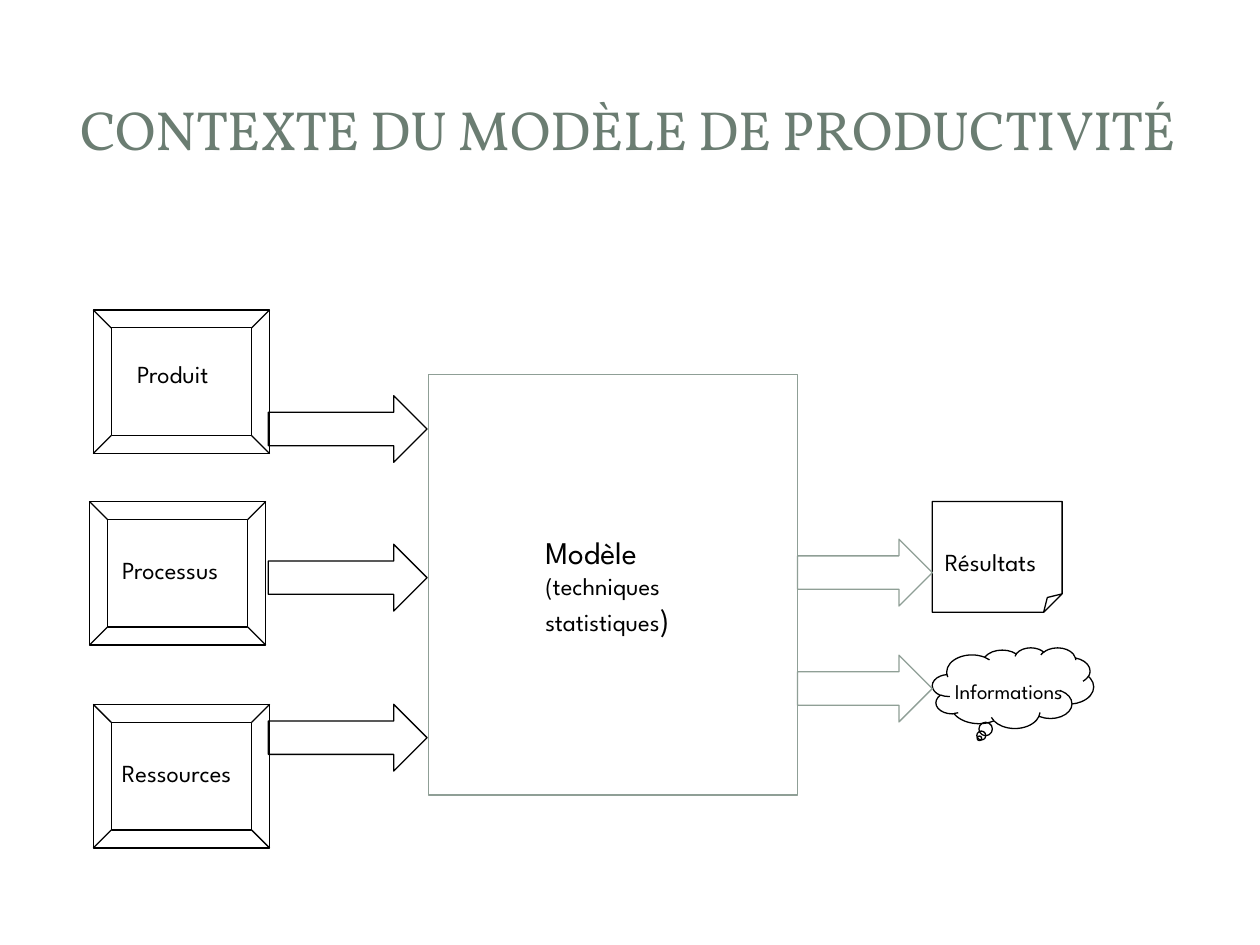
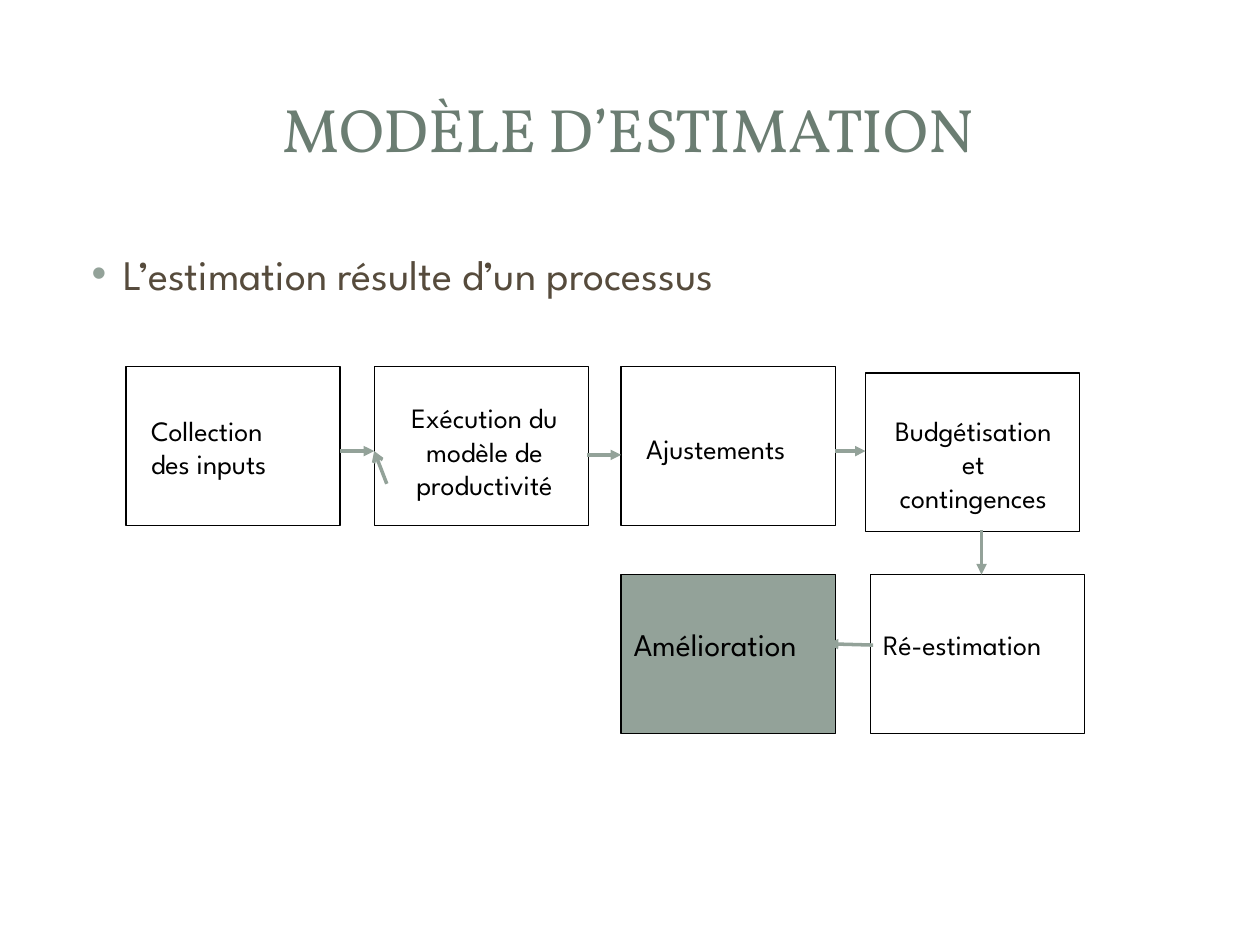
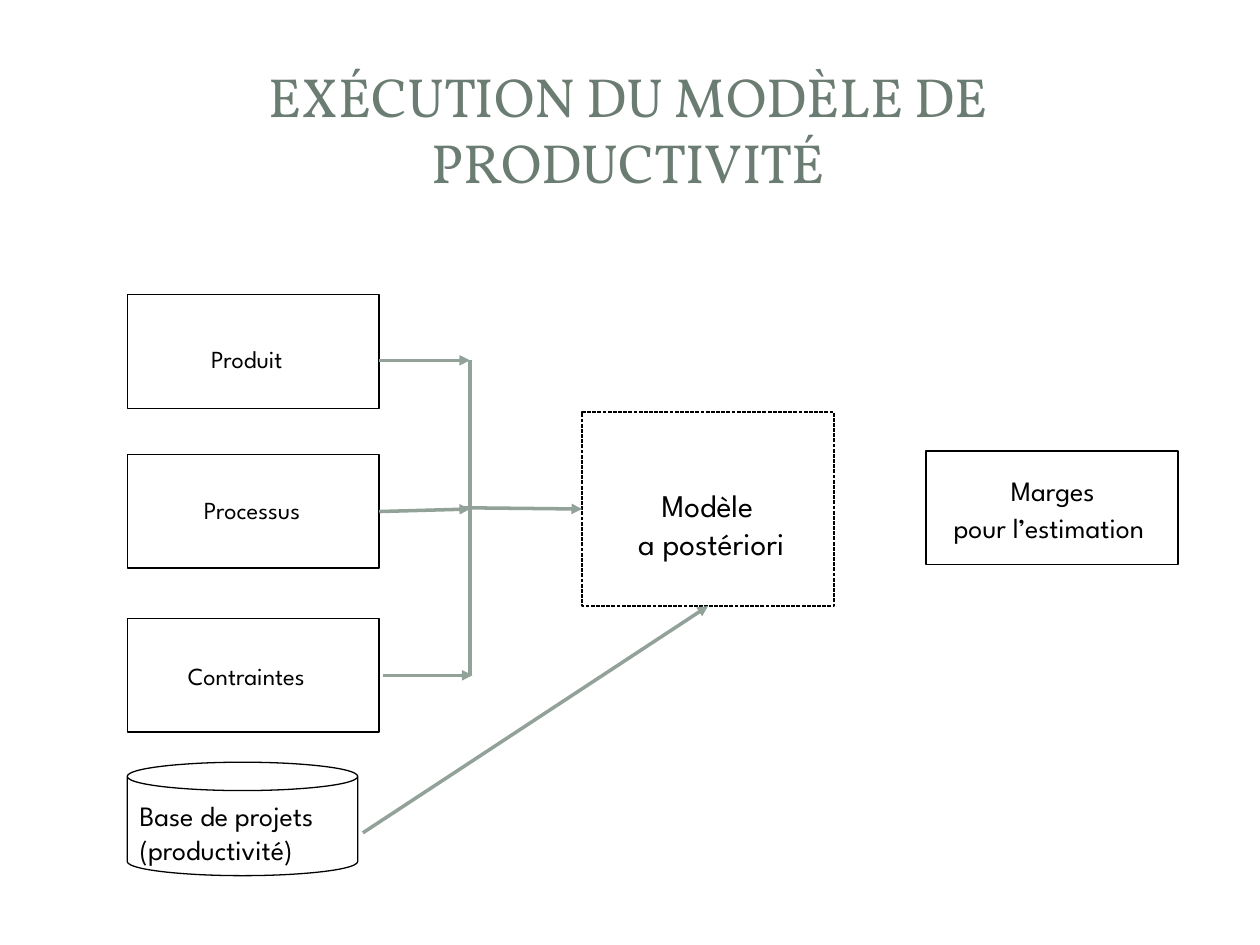
"""Build three slides on productivity and estimation models."""
import pptx
import pptx.util
import pptx.dml.color
import pptx.enum.dml
import pptx.enum.shapes
import pptx.enum.text
from pptx.oxml.ns import qn
from lxml import etree

Inches = pptx.util.Inches
Pt = pptx.util.Pt
MSO = pptx.enum.shapes.MSO_SHAPE
LEFT = pptx.enum.text.PP_ALIGN.LEFT
CENTER = pptx.enum.text.PP_ALIGN.CENTER


class Theme:
    title_font, body_font = "Vollkorn", "League Spartan"
    title, body, ink = "6B7D72", "564B3C", "000000"
    accent, outline = "93A299", "8F9F96"
    small, text, medium, large, bullet = 12, 14, 16, 18, 24
    long_title, short_title = 31.5, 35
    thin, thick = 0.75, 2


BEVEL, ARROW = (1.4, 1.14), (1.26, 0.53)
OUT_ARROW, STEP, CARD = (1.07, 0.53), (1.7, 1.26), (2, 0.9)

CONTEXT = {
    "title": ("CONTEXTE DU MODÈLE DE PRODUCTIVITÉ", Theme.long_title),
    "shapes": [
        ("modèle", MSO.RECTANGLE, 3.4, 2.97, (2.93, 3.34), {"line": Theme.outline}),
        *[(name, MSO.BEVEL, x, y, BEVEL, {})
          for name, x, y in [("produit", 0.74, 2.46), ("processus", 0.71, 3.98), ("ressources", 0.74, 5.59)]],
        *[(f"entrée {y}", MSO.RIGHT_ARROW, 2.13, y, ARROW, {}) for y in (3.14, 4.32, 5.59)],
        ("résultats", MSO.FOLDED_CORNER, 7.4, 3.98, (1.03, 0.88), {}),
        ("informations", MSO.CLOUD_CALLOUT, 7.4, 5.14, (1.28, 0.64), {}),
        *[(f"sortie {y}", MSO.RIGHT_ARROW, 6.33, y, OUT_ARROW, {"line": Theme.outline}) for y in (4.28, 5.2)],
    ],
    "arrows": [],
    "labels": [
        (0.99, 2.8, 0.86, 0.34, LEFT, Theme.text, ["Produit"]),
        (0.87, 4.36, 1.11, 0.34, LEFT, Theme.text, ["Processus"]),
        (0.87, 5.97, 1.24, 0.34, LEFT, Theme.text, ["Ressources"]),
        (4.23, 4.18, 1.33, 0.94, LEFT, Theme.text,
         [[("Modèle", Theme.large)], "(techniques", [("statistiques", None), (")", Theme.large)]]),
        (7.48, 5.34, 1.2, 0.3, LEFT, Theme.small, ["Informations"]),
        (7.4, 4.29, 1.03, 0.34, LEFT, Theme.text, ["Résultats"]),
    ],
}

ESTIMATION = {
    "title": ("MODÈLE D’ESTIMATION", Theme.short_title),
    "bullet": "L’estimation résulte d’un processus",
    "shapes": [
        *[(name, MSO.RECTANGLE, x, y, STEP, {})
          for name, x, y in [("collection", 1, 2.91), ("exécution", 2.97, 2.91), ("ajustements", 4.93, 2.91),
                             ("budgétisation", 6.87, 2.96), ("ré-estimation", 6.91, 4.56)]],
        ("amélioration", MSO.RECTANGLE, 4.93, 4.56, STEP, {"fill": Theme.accent}),
    ],
    "arrows": [
        ((2.7, 3.58), (2.97, 3.58), "triangle", {}),
        ((3.07, 3.84), (2.97, 3.58), "arrow", {}),
        ((4.66, 3.61), (4.93, 3.61), "triangle", {}),
        ((6.63, 3.58), (6.87, 3.58), "triangle", {}),
        ((7.79, 4.21), (7.79, 4.56), "triangle", {}),
        ((6.93, 5.12), (6.57, 5.11), "triangle", {}),
    ],
    "labels": [
        (1.1, 3.23, 1.32, 0.64, LEFT, Theme.medium, ["Collection", "des inputs"]),
        (3.04, 3.13, 1.61, 0.91, CENTER, Theme.medium, ["Exécution du", "modèle de", "productivité"]),
        (5.03, 3.38, 1.52, 0.37, LEFT, Theme.medium, ["Ajustements"]),
        (6.84, 3.23, 1.77, 0.91, CENTER, Theme.medium, ["Budgétisation", "et", "contingences"]),
        (6.91, 4.93, 1.68, 0.37, LEFT, Theme.medium, ["Ré-estimation"]),
        (4.93, 4.91, 1.76, 0.4, LEFT, Theme.large, ["Amélioration"]),
    ],
}

EXECUTION = {
    "title": ("EXÉCUTION DU MODÈLE DE PRODUCTIVITÉ", Theme.long_title),
    "shapes": [
        *[(name, MSO.RECTANGLE, x, y, CARD, {})
          for name, x, y in [("produit", 1.01, 2.34), ("processus", 1.01, 3.61),
                             ("contraintes", 1.01, 4.91), ("marges", 7.35, 3.58)]],
        ("modèle", MSO.RECTANGLE, 4.62, 3.27, (2, 1.54), {"dashed": True}),
        ("base", MSO.CAN, 1.01, 6.05, (1.83, 0.9), {}),
    ],
    "arrows": [
        ((3.01, 2.86), (3.73, 2.86), "triangle", {}),
        ((3.01, 4.04), (3.73, 4.04), "triangle", {"begin": ("processus", 3)}),
        ((3.04, 5.36), (3.75, 5.36), "triangle", {}),
        ((3.73, 2.86), (3.73, 5.36), None, {}),
        ((3.68, 4.03), (4.62, 4.04), "triangle", {"end": ("modèle", 1)}),
        ((2.88, 6.61), (5.62, 4.81), "triangle", {"end": ("modèle", 2)}),
    ],
    "labels": [
        (1.53, 2.68, 0.86, 0.34, CENTER, Theme.text, ["Produit"]),
        (1.52, 3.88, 1.11, 0.34, LEFT, Theme.text, ["Processus"]),
        (1.33, 5.2, 1.3, 0.34, CENTER, Theme.text, ["Contraintes "]),
        (4.87, 3.81, 1.55, 0.71, CENTER, Theme.large, ["Modèle ", "a postériori"]),
        (7.35, 3.71, 2.01, 0.67, CENTER, Theme.medium,
         ["Marges", [("pour l’estimation", None), (" ", Theme.large)]]),
        (1.01, 6.29, 1.86, 0.64, LEFT, Theme.medium, ["Base de projets", "(productivité)"]),
    ],
}


def rgb(color):
    return pptx.dml.color.RGBColor.from_string(color)


def add_text(s, x, y, w, h, align, size, lines, font=Theme.body_font, color=Theme.ink, wrap=False):
    tf = s.shapes.add_textbox(Inches(x), Inches(y), Inches(w), Inches(h)).text_frame
    tf.word_wrap = wrap
    for i, line in enumerate(lines):
        p = tf.paragraphs[0] if i == 0 else tf.add_paragraph()
        p.alignment = align
        p.font.name, p.font.size = font, Pt(size)
        p.font.color.rgb = rgb(color)
        for text, run_size in [(line, None)] if isinstance(line, str) else line:
            r = p.add_run()
            r.text = text
            if run_size:
                r.font.size = Pt(run_size)
    return tf


def add_title(s, text, size):
    tf = add_text(s, 0.47, 0.45, 9.03, 1.14, CENTER, size, [text], Theme.title_font, Theme.title, True)
    tf.vertical_anchor = pptx.enum.text.MSO_ANCHOR.MIDDLE


def add_bullet(s, text):
    tf = add_text(s, 0.5, 1.92, 9, 0.88, LEFT, Theme.bullet, [text], color=Theme.body, wrap=True)
    pPr = tf.paragraphs[0]._p.get_or_add_pPr()
    pPr.set("marL", str(Inches(0.38)))
    pPr.set("indent", str(Inches(-0.25)))
    bu_color = etree.Element(qn("a:buClr"))
    etree.SubElement(bu_color, qn("a:srgbClr"), val=Theme.accent)
    bullet = [bu_color, etree.Element(qn("a:buFont"), typeface="Arial"), etree.Element(qn("a:buChar"), char="•")]
    for i, element in enumerate(bullet):
        pPr.insert(i, element)


def add_shape(s, kind, x, y, size, line=Theme.ink, fill=None, dashed=False):
    sp = s.shapes.add_shape(kind, Inches(x), Inches(y), Inches(size[0]), Inches(size[1]))
    sp.shadow.inherit = False
    if fill:
        sp.fill.solid()
        sp.fill.fore_color.rgb = rgb(fill)
    else:
        sp.fill.background()
    sp.line.color.rgb = rgb(line)
    sp.line.width = Pt(Theme.thin)
    if dashed:
        sp.line.dash_style = pptx.enum.dml.MSO_LINE.SQUARE_DOT
    return sp


def add_arrow(s, shapes, start, stop, head, begin=None, end=None):
    points = [Inches(v) for v in (*start, *stop)]
    c = s.shapes.add_connector(pptx.enum.shapes.MSO_CONNECTOR.STRAIGHT, *points)
    if begin:
        c.begin_connect(shapes[begin[0]], begin[1])
    if end:
        c.end_connect(shapes[end[0]], end[1])
    c.line.color.rgb = rgb(Theme.accent)
    c.line.width = Pt(Theme.thick)
    if head:
        etree.SubElement(c.line._get_or_add_ln(), qn("a:tailEnd"), type=head)
    etree.SubElement(c._element.spPr, qn("a:effectLst"))


def add_slide(prs, content):
    s = prs.slides.add_slide(prs.slide_layouts[6])
    add_title(s, *content["title"])
    if "bullet" in content:
        add_bullet(s, content["bullet"])
    shapes = {name: add_shape(s, *place, **style) for name, *place, style in content["shapes"]}
    for start, stop, head, joins in content["arrows"]:
        add_arrow(s, shapes, start, stop, head, **joins)
    for label in content["labels"]:
        tf = add_text(s, *label)
        tf.auto_size = pptx.enum.text.MSO_AUTO_SIZE.SHAPE_TO_FIT_TEXT


def main():
    prs = pptx.Presentation()
    prs.slide_width, prs.slide_height = Inches(10), Inches(7.5)
    for content in (CONTEXT, ESTIMATION, EXECUTION):
        add_slide(prs, content)
    prs.save("out.pptx")


if __name__ == "__main__":
    main()
